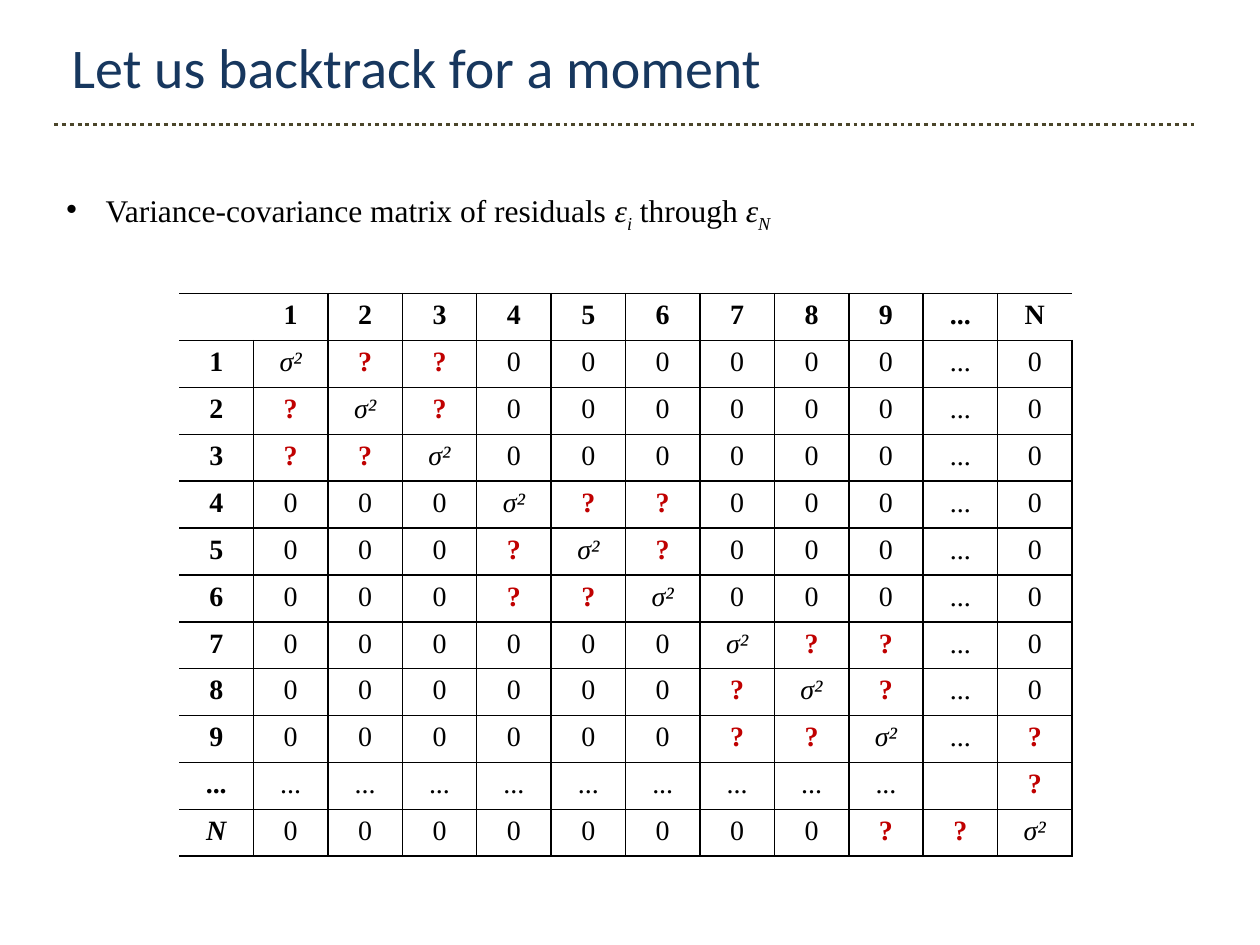
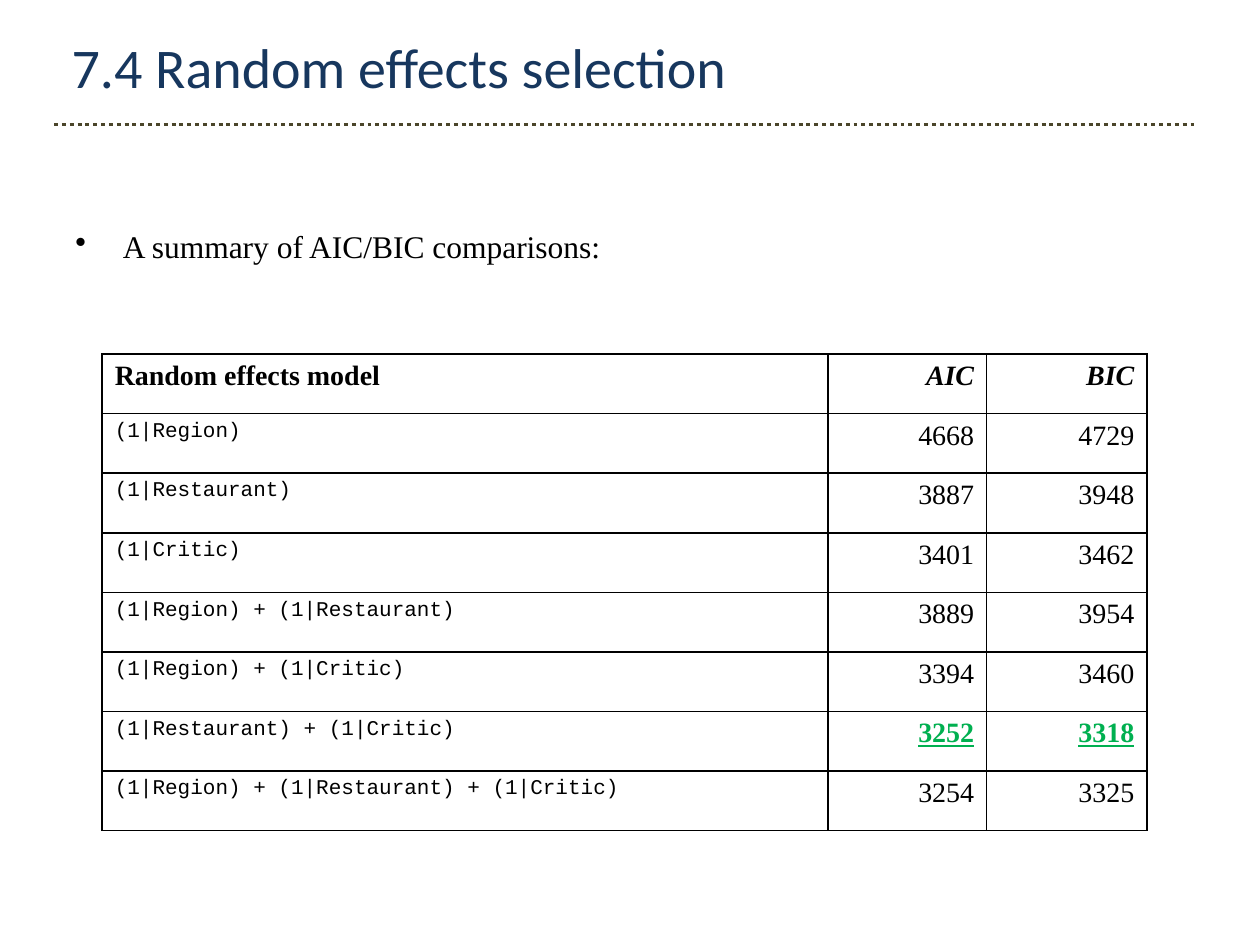
from pptx import Presentation
from pptx.dml.color import RGBColor as RGB
from pptx.enum.dml import MSO_LINE
from pptx.enum.shapes import MSO_CONNECTOR
from pptx.enum.text import MSO_ANCHOR as ANCHOR, PP_ALIGN as ALIGN
from pptx.oxml.ns import qn
from pptx.util import Cm, Pt
from lxml.etree import SubElement

COLORS = {"title": "17375E", "rule": "4A452A", "text": "000000",
          "unknown": "C00000", "best": "00B050"}
SANS, SERIF, MONO = "Calibri", "Times New Roman", "Courier New"
CELL_SIZE = 16
CLUSTER = 3


def add_run(p, text, size, font=SERIF, color="text", bold=False, italic=False,
            underline=False, subscript=False):
    r = p.add_run()
    r.text = text
    f = r.font
    f.size, f.name, f.bold, f.italic = Pt(size), font, bold, italic
    f.underline = underline
    f.color.rgb = RGB.from_string(COLORS[color])
    if subscript:
        r._r.get_or_add_rPr().set("baseline", "-25000")


def add_titled_slide(prs, title):
    s = prs.slides.add_slide(prs.slide_layouts[5])
    sp = s.shapes.title
    sp.left, sp.top, sp.width, sp.height = Cm(1.19), Cm(0.53), Cm(23.32), Cm(1.6)
    tf = sp.text_frame
    tf.word_wrap = True
    tf.vertical_anchor = ANCHOR.MIDDLE
    p = tf.paragraphs[0]
    p.alignment = ALIGN.LEFT
    add_run(p, title, 32, SANS, "title")

    rule = s.shapes.add_connector(MSO_CONNECTOR.STRAIGHT,
                                  Cm(1.09), Cm(2.51), Cm(24.1), Cm(2.51))
    rule.line.color.rgb = RGB.from_string(COLORS["rule"])
    rule.line.width = Pt(2.25)
    rule.line.dash_style = MSO_LINE.ROUND_DOT
    SubElement(rule._element.spPr, qn("a:effectLst"))
    return s


def add_bullet(s, left, top, width, height, indent, runs):
    tf = s.shapes.add_textbox(Cm(left), Cm(top), Cm(width), Cm(height)).text_frame
    tf.word_wrap = True
    p = tf.paragraphs[0]
    pPr = p._p.get_or_add_pPr()
    pPr.set("marL", str(Cm(indent)))
    pPr.set("indent", str(-Cm(indent)))
    SubElement(pPr, qn("a:buChar")).set("char", "•")
    for text, style in runs:
        add_run(p, text, 18, **style)


def set_borders(cell, sides):
    tcPr = cell._tc.get_or_add_tcPr()
    for side in "LRTB":
        ln = SubElement(tcPr, qn(f"a:ln{side}"), w=str(Pt(0.96)))
        if side in sides:
            fill = SubElement(ln, qn("a:solidFill"))
            SubElement(fill, qn("a:srgbClr"), val=COLORS["text"])
        else:
            SubElement(ln, qn("a:noFill"))


def add_grid(s, left, top, height, widths, rows, align, sides):
    frame = s.shapes.add_table(len(rows), len(widths), Cm(left), Cm(top),
                               Cm(sum(widths)), Cm(height))
    table = frame.table
    table.first_row = table.horz_banding = False
    for column, width in zip(table.columns, widths):
        column.width = Cm(width)
    for i, row in enumerate(rows):
        for j, (text, style) in enumerate(row):
            cell = table.cell(i, j)
            cell.margin_bottom = 0
            set_borders(cell, sides(i, j))
            cell.fill.background()
            p = cell.text_frame.paragraphs[0]
            p.alignment = align(j)
            if text:
                add_run(p, text, **{"size": CELL_SIZE, **style})


def covariance(i, j):
    if i == j:
        return ("", {}) if i == 9 else ("σ²", {"italic": True})
    if i // CLUSTER == j // CLUSTER or i + j >= 18:
        return "?", {"color": "unknown", "bold": True}
    return ("..." if 9 in (i, j) else "0"), {}


def matrix_sides(i, j):
    hidden = ""
    if j == 0 or (i == 0 and j == 1):
        hidden += "L"
    if i == 0 and j in (0, 11):
        hidden += "R"
    return set("LRTB") - set(hidden)


def add_matrix_slide(prs):
    s = add_titled_slide(prs, "Let us backtrack for a moment")
    italic, sub = {"italic": True}, {"italic": True, "subscript": True}
    add_bullet(s, 1.09, 3.73, 23.01, 1.12, 0.79, [
        ("Variance-covariance matrix of residuals ", {}), ("ε", italic), ("i", sub),
        (" through ", {}), ("ε", italic), ("N", sub)])
    labels = [*"123456789", "...", "N"]
    rows = [[("", {})] + [(label, {"bold": True}) for label in labels]]
    for i, label in enumerate(labels):
        head = (label, {"bold": True, "italic": label == "N"})
        rows.append([head] + [covariance(i, j) for j in range(len(labels))])
    add_grid(s, 3.61, 5.92, 11.35, [1.5] * 12, rows,
             lambda j: ALIGN.CENTER, matrix_sides)


def add_selection_slide(prs):
    s = add_titled_slide(prs, "7.4 Random effects selection")
    add_bullet(s, 1.27, 4.45, 23.42, 13.49, 0.96,
               [("A summary of AIC/BIC comparisons:", {})])
    models = [
        ("(1|Region)", 4668, 4729),
        ("(1|Restaurant)", 3887, 3948),
        ("(1|Critic)", 3401, 3462),
        ("(1|Region) + (1|Restaurant)", 3889, 3954),
        ("(1|Region) + (1|Critic)", 3394, 3460),
        ("(1|Restaurant) + (1|Critic)", 3252, 3318),
        ("(1|Region) + (1|Restaurant) + (1|Critic)", 3254, 3325),
    ]
    lowest = min(aic for _, aic, _ in models)
    best = {"color": "best", "bold": True, "underline": True}
    criterion = {"bold": True, "italic": True}
    rows = [[("Random effects model", {"bold": True}),
             ("AIC", criterion), ("BIC", criterion)]]
    for model, aic, bic in models:
        style = best if aic == lowest else {}
        rows.append([(model, {"size": 12, "font": MONO}),
                     (str(aic), style), (str(bic), style)])
    add_grid(s, 2.06, 7.14, 9.6, [14.63, 3.2, 3.23], rows,
             lambda j: ALIGN.RIGHT if j else ALIGN.LEFT, lambda i, j: "LRTB")


def main():
    prs = Presentation()
    prs.slide_width, prs.slide_height = Cm(25.4), Cm(19.05)
    add_matrix_slide(prs)
    add_selection_slide(prs)
    prs.save("out.pptx")


if __name__ == "__main__":
    main()
